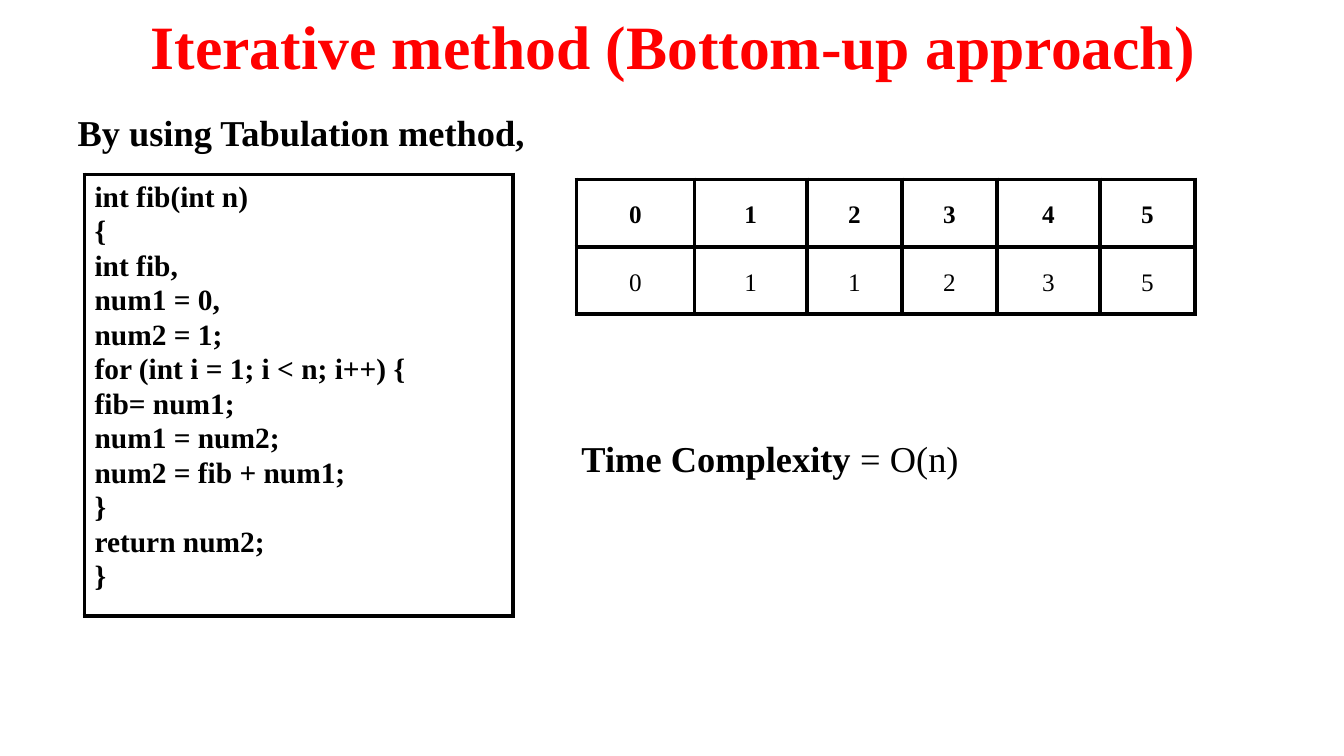
import dataclasses
import lxml.etree
import pptx
import pptx.dml.color
import pptx.enum.text
import pptx.oxml.ns
import pptx.util

Cm = pptx.util.Cm
Pt = pptx.util.Pt
Align = pptx.enum.text.PP_ALIGN
Anchor = pptx.enum.text.MSO_ANCHOR
qn = pptx.oxml.ns.qn


@dataclasses.dataclass(frozen=True)
class Theme:
    font: str = "Times New Roman"
    title_color: str = "FF0000"
    text_color: str = "000000"
    cell_color: str = "FFFFFF"
    title_size: int = 44
    body_size: int = 26
    code_size: int = 21
    value_size: int = 18
    border: int = 3


def write(paragraph, text, *, font, size, color, bold=True, align=Align.JUSTIFY, spacing=1.05, before=0):
    paragraph.alignment = align
    paragraph.line_spacing = spacing
    paragraph.space_before = Pt(before)
    run = paragraph.add_run()
    run.text = text
    run.font.name = font
    run.font.size = Pt(size)
    run.font.bold = bold
    run.font.color.rgb = pptx.dml.color.RGBColor.from_string(color)


class SlideBuilder:
    def __init__(self, presentation, theme):
        self.theme = theme
        self.slide = presentation.slides.add_slide(presentation.slide_layouts[1])

    def place(self, shape, left, top, width, height):
        shape.left, shape.top = Cm(left), Cm(top)
        shape.width, shape.height = Cm(width), Cm(height)
        shape.text_frame.word_wrap = True
        shape.text_frame.auto_size = pptx.enum.text.MSO_AUTO_SIZE.NONE

    def title(self, text, *bounds):
        shape = self.slide.shapes.title
        self.place(shape, *bounds)
        shape.text_frame.vertical_anchor = Anchor.MIDDLE
        write(shape.text_frame.paragraphs[0], text, font=self.theme.font, size=self.theme.title_size,
              color=self.theme.title_color, align=Align.CENTER, spacing=1)

    def body(self, items, *bounds):
        shape = self.slide.placeholders[1]
        self.place(shape, *bounds)
        frame = shape.text_frame
        for index, (runs, indent, before) in enumerate(items):
            paragraph = frame.add_paragraph() if index else frame.paragraphs[0]
            properties = paragraph._p.get_or_add_pPr()
            properties.set("marL", str(Cm(indent)))
            properties.set("indent", "0")
            lxml.etree.SubElement(properties, qn("a:buNone"))
            for text, bold in runs:
                write(paragraph, text, font=self.theme.font, size=self.theme.body_size,
                      color=self.theme.text_color, bold=bold, before=before)

    def table(self, left, top, widths, heights):
        frame = self.slide.shapes.add_table(len(heights), len(widths), Cm(left), Cm(top),
                                            Cm(sum(widths)), Cm(sum(heights)))
        for column, width in zip(frame.table.columns, widths):
            column.width = Cm(width)
        for row, height in zip(frame.table.rows, heights):
            row.height = Cm(height)
        for cell in frame.table.iter_cells():
            self.style_cell(cell)
        return frame.table

    def style_cell(self, cell):
        properties = cell._tc.get_or_add_tcPr()
        for side in ("a:lnL", "a:lnR", "a:lnT", "a:lnB"):
            line = lxml.etree.SubElement(properties, qn(side), w=str(Pt(self.theme.border)))
            fill = lxml.etree.SubElement(line, qn("a:solidFill"))
            lxml.etree.SubElement(fill, qn("a:srgbClr"), val=self.theme.text_color)
        cell.fill.solid()
        cell.fill.fore_color.rgb = pptx.dml.color.RGBColor.from_string(self.theme.cell_color)

    def code_box(self, code, left, top, width, height):
        frame = self.table(left, top, [width], [height]).cell(0, 0).text_frame
        for index, text in enumerate(code.splitlines()):
            paragraph = frame.add_paragraph() if index else frame.paragraphs[0]
            write(paragraph, text, font=self.theme.font, size=self.theme.code_size,
                  color=self.theme.text_color, before=0.2 if index else 0)

    def value_table(self, rows, left, top, widths, row_height):
        table = self.table(left, top, widths, [row_height] * len(rows))
        for row_index, values in enumerate(rows):
            for column_index, value in enumerate(values):
                cell = table.cell(row_index, column_index)
                cell.vertical_anchor = Anchor.MIDDLE
                cell.margin_left = cell.margin_right = Cm(0.18)
                cell.margin_top = cell.margin_bottom = 0
                write(cell.text_frame.paragraphs[0], str(value), font=self.theme.font,
                      size=self.theme.value_size, color=self.theme.text_color,
                      bold=row_index == 0, align=Align.CENTER, spacing=1.15)


FIBONACCI_CODE = """int fib(int n)
{
int fib,
num1 = 0,
num2 = 1;
for (int i = 1; i < n; i++) {
fib= num1;
num1 = num2;
num2 = fib + num1;
}
return num2;
}"""


def main():
    presentation = pptx.Presentation()
    presentation.slide_width = Cm(33.87)
    presentation.slide_height = Cm(19.05)
    builder = SlideBuilder(presentation, Theme())
    builder.title("Iterative method (Bottom-up approach)", 1.73, 0.33, 30.48, 1.6)
    builder.body([
        ([("By using Tabulation method,", True)], 0, 0),
        ([("Time Complexity ", True), ("= O(n)", False)], 12.7, 200),
    ], 1.7, 2.59, 31.65, 15.93)
    builder.code_box(FIBONACCI_CODE, 2.13, 4.4, 10.8, 11.13)
    builder.value_table([range(6), [0, 1, 1, 2, 3, 5]], 14.53, 4.52,
                        [2.97, 2.84, 2.39, 2.39, 2.6, 2.39], 1.7)
    presentation.save("out.pptx")


if __name__ == "__main__":
    main()
